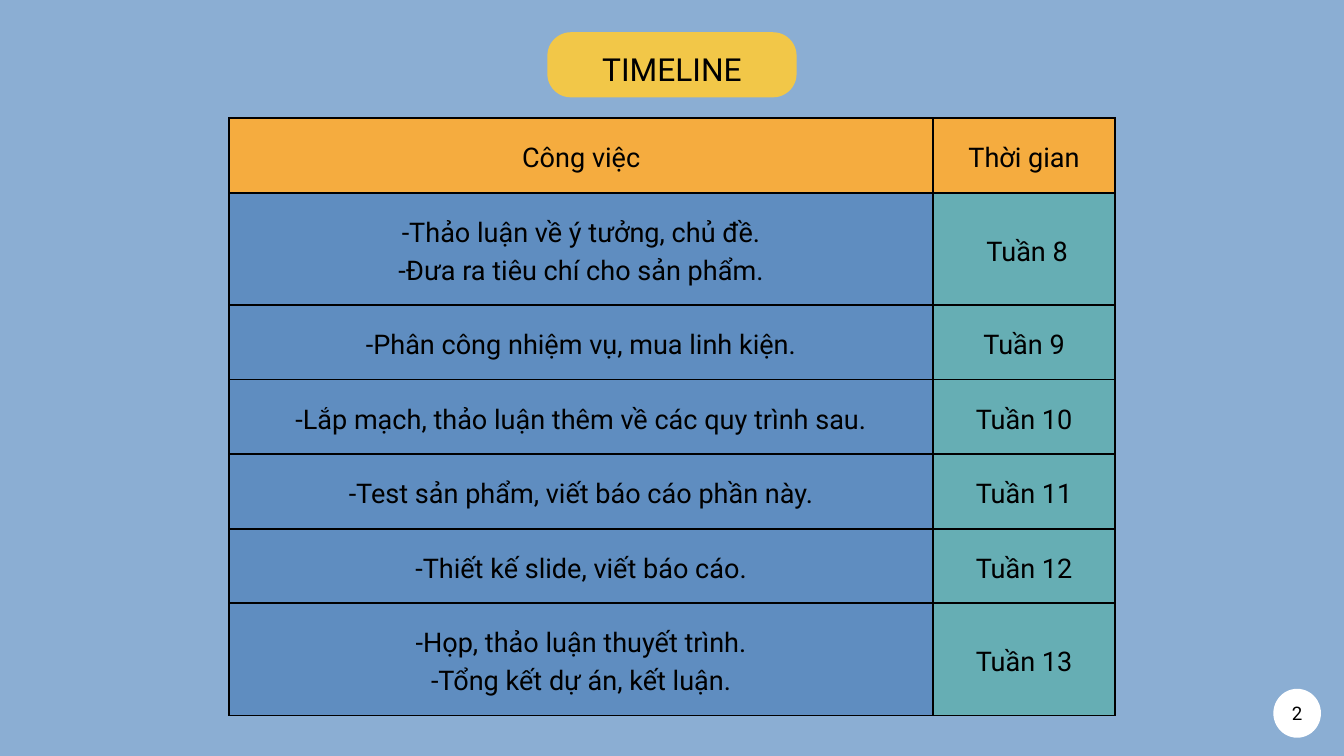
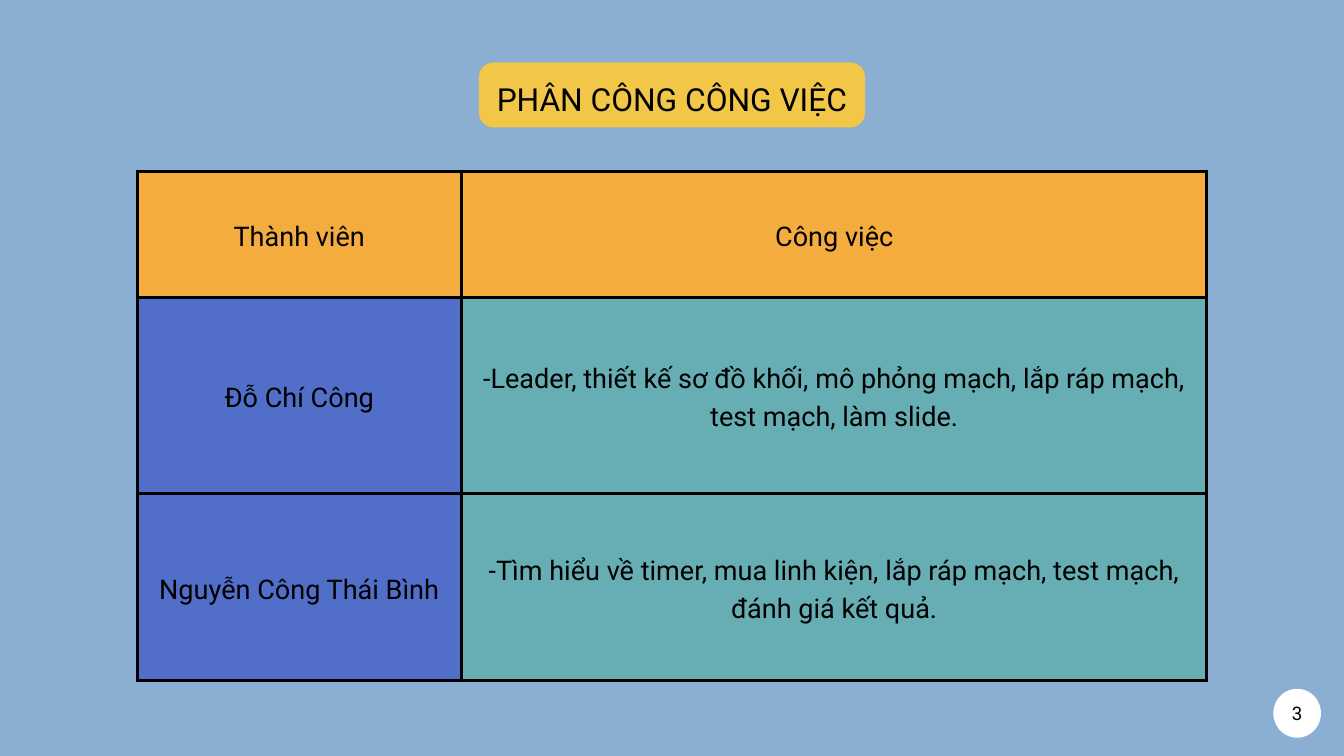
from lxml.etree import SubElement
from pptx import Presentation
from pptx.dml.color import RGBColor
from pptx.enum.shapes import MSO_SHAPE
from pptx.enum.text import MSO_ANCHOR, MSO_AUTO_SIZE, PP_ALIGN
from pptx.oxml.ns import qn
from pptx.util import Cm, Pt

WIDTH, HEIGHT = 50.8, 28.58
TITLE_ONLY = 5


def paint(target, color):
    """Give a shape, cell or background a solid fill."""
    target.fill.solid()
    target.fill.fore_color.rgb = RGBColor.from_string(color)


def write(frame, text, size=29, color="000000", font="Roboto", lead=40.6):
    """Write one centred paragraph for each line of text."""
    frame.text = text
    for para in frame.paragraphs:
        para.alignment = PP_ALIGN.CENTER
        para.line_spacing = Pt(lead)
        para.font.size = Pt(size)
        para.font.name = font
        para.font.color.rgb = RGBColor.from_string(color)


def pad(box, inset):
    """Set equal margins and a middle anchor on a text frame or cell."""
    box.margin_left = box.margin_right = Cm(inset)
    box.margin_top = box.margin_bottom = Cm(inset)
    box.vertical_anchor = MSO_ANCHOR.MIDDLE


def edge(cell, weight, color):
    """Draw the four borders of a cell."""
    props = cell._tc.get_or_add_tcPr()
    for place, side in enumerate(("lnL", "lnR", "lnT", "lnB")):
        line = SubElement(props, qn(f"a:{side}"), w=str(Pt(weight)))
        fill = SubElement(line, qn("a:solidFill"))
        SubElement(fill, qn("a:srgbClr"), val=color)
        props.insert(place, line)


class Deck:
    back, band, head = "8BAED3", "F2C748", "F5AC3F"
    blue, navy, teal = "5F8DC0", "516EC9", "66AEB4"
    white, black = "FFFFFF", "000000"

    def __init__(self):
        self.file = Presentation()
        self.file.slide_width, self.file.slide_height = Cm(WIDTH), Cm(HEIGHT)

    def page(self, number):
        layout = self.file.slide_layouts[TITLE_ONLY]
        self.slide = self.file.slides.add_slide(layout)
        paint(self.slide.background, self.back)
        badge = self.shape(MSO_SHAPE.OVAL, 48.13, 26.04, 1.8, 1.85, self.white)
        pad(badge.text_frame, 0)
        write(badge.text_frame, str(number), size=20, lead=24)

    def shape(self, kind, left, top, width, height, color):
        shape = self.slide.shapes.add_shape(
            kind, Cm(left), Cm(top), Cm(width), Cm(height))
        shape.shadow.inherit = False
        paint(shape, color)
        shape.line.fill.background()
        return shape

    def title(self, text, top, width, bend):
        """Set the title on a rounded band centred across the slide."""
        left = (WIDTH - width) / 2
        band = self.shape(MSO_SHAPE.ROUNDED_RECTANGLE,
                          left, top, width, 2.46, self.band)
        band.adjustments[0] = bend
        title = self.slide.shapes.title
        title.left, title.top = Cm(left), Cm(top + 0.44)
        title.width, title.height = Cm(width), Cm(2.02)
        band.element.addnext(title.element)
        frame = title.text_frame
        frame.word_wrap = True
        frame.auto_size = MSO_AUTO_SIZE.NONE
        pad(frame, 0.15)
        write(frame, text, size=34, color="000001", lead=37.4)

    def table(self, left, top, widths, heights, rows, fills, weight):
        """Add a table with a header row and one fill for each column."""
        table = self.slide.shapes.add_table(
            len(heights), len(widths), Cm(left), Cm(top),
            Cm(sum(widths)), Cm(sum(heights))).table
        table.first_row = table.horz_banding = False
        for col, width in zip(table.columns, widths):
            col.width = Cm(width)
        for r, (height, texts) in enumerate(zip(heights, rows)):
            table.rows[r].height = Cm(height)
            for c, text in enumerate(texts):
                cell = table.cell(r, c)
                pad(cell, 0.53)
                write(cell.text_frame, text)
                paint(cell, fills[c] if r else self.head)
                edge(cell, weight, self.black)


def main():
    deck = Deck()

    deck.page(2)
    plan = [
        ("Công việc", "Thời gian"),
        ("-Thảo luận về ý tưởng, chủ đề.\n-Đưa ra tiêu chí cho sản phẩm.",
         " Tuần 8"),
        ("-Phân công nhiệm vụ, mua linh kiện.", "Tuần 9"),
        ("-Lắp mạch, thảo luận thêm về các quy trình sau.", "Tuần 10"),
        ("-Test sản phẩm, viết báo cáo phần này.", "Tuần 11"),
        ("-Thiết kế slide, viết báo cáo.", "Tuần 12"),
        ("-Họp, thảo luận thuyết trình.\n-Tổng kết dự án, kết luận.",
         "Tuần 13"),
    ]
    heights = [4.24 if "\n" in task else 2.82 for task, week in plan]
    deck.table(8.66, 4.47, [26.62, 6.86], heights, plan,
               [deck.blue, deck.teal], 2.25)
    deck.title("TIMELINE", 1.22, 9.42, 0.36)

    deck.page(3)
    team = [
        ("Thành viên", "Công việc"),
        ("Đỗ Chí Công",
         "-Leader, thiết kế sơ đồ khối, mô phỏng mạch, lắp ráp mạch, "
         "test mạch, làm slide."),
        ("Nguyễn Công Thái Bình",
         "-Tìm hiểu về timer, mua linh kiện, lắp ráp mạch, test mạch, "
         "đánh giá kết quả."),
    ]
    deck.table(5.18, 6.48, [12.27, 28.17], [4.78, 7.39, 7.09], team,
               [deck.navy, deck.teal], 3.75)
    deck.title("PHÂN CÔNG CÔNG VIỆC", 2.36, 14.6, 0.23)

    deck.file.save("out.pptx")


if __name__ == "__main__":
    main()
